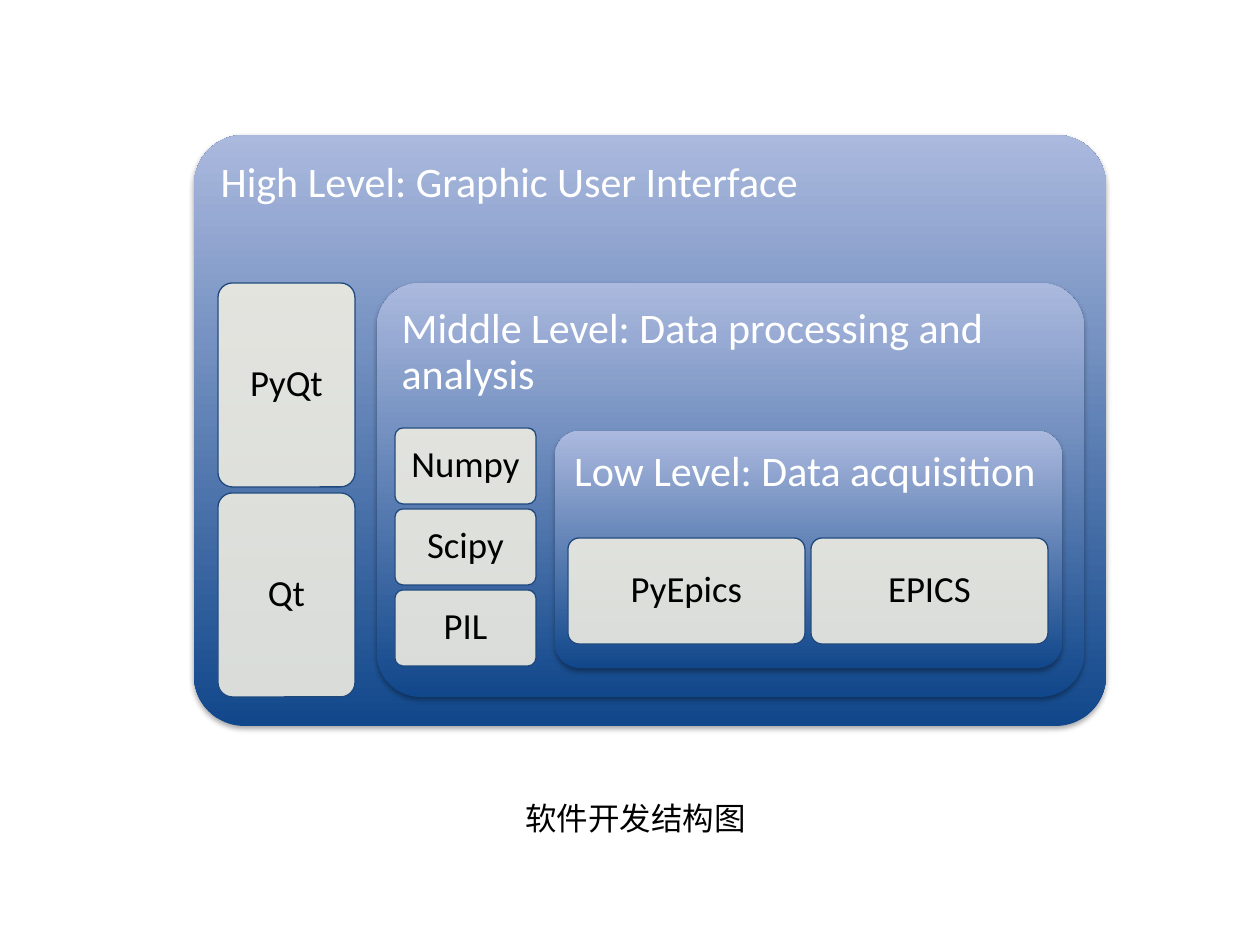
import lxml.etree
import pptx
import pptx.dml.color
import pptx.enum.shapes
import pptx.enum.text
import pptx.oxml.ns
import pptx.util

EMU_PER_PX = 914400 / 126
FONT = "Calibri"
COLORS = {
    "panel_bottom": "11478B",
    "panel_top": "ABB9DE",
    "panel_text": "FFFFFF",
    "block": "EEECE1",
    "block_line": "1F497D",
    "text": "000000",
    "shadow": "000000",
}


def px(length):
    return pptx.util.Emu(round(length * EMU_PER_PX))


def color(name):
    return pptx.dml.color.RGBColor.from_string(COLORS[name])


def add_element(parent, tag, **attributes):
    element = lxml.etree.SubElement(parent, pptx.oxml.ns.qn(tag))
    for name, value in attributes.items():
        element.set(name, str(value))
    return element


def set_text(frame, text, size, color_name):
    paragraph = frame.paragraphs[0]
    paragraph.text = text
    paragraph.font.size = pptx.util.Pt(size)
    paragraph.font.name = FONT
    paragraph.font.color.rgb = color(color_name)
    return paragraph


def add_rounded_box(slide, box, corner, inset):
    """Add a shadowless rounded rectangle with equal text margins."""
    shape = slide.shapes.add_shape(
        pptx.enum.shapes.MSO_SHAPE.ROUNDED_RECTANGLE, *map(px, box))
    shape.adjustments[0] = corner
    shape.shadow.inherit = False
    frame = shape.text_frame
    frame.word_wrap = True
    frame.margin_left = frame.margin_right = px(inset)
    frame.margin_top = frame.margin_bottom = px(inset)
    return shape


def add_shadow(shape):
    effects = shape.element.spPr.find(pptx.oxml.ns.qn("a:effectLst"))
    shadow = add_element(
        effects, "a:outerShdw", blurRad=pptx.util.Pt(3.1),
        dist=pptx.util.Pt(1.8), dir=90 * 60000, rotWithShape=0)
    shade = add_element(shadow, "a:srgbClr", val=COLORS["shadow"])
    add_element(shade, "a:alpha", val=35000)


def add_level_panel(slide, title, box, corner=0.105):
    shape = add_rounded_box(slide, box, corner, inset=12)
    shape.fill.gradient()
    shape.fill.gradient_angle = 90
    for stop, name in zip(shape.fill.gradient_stops,
                          ("panel_bottom", "panel_top")):
        stop.color.rgb = color(name)
    shape.line.fill.background()
    add_shadow(shape)
    shape.text_frame.vertical_anchor = pptx.enum.text.MSO_ANCHOR.TOP
    paragraph = set_text(shape.text_frame, title, 24, "panel_text")
    paragraph.alignment = pptx.enum.text.PP_ALIGN.LEFT
    paragraph.line_spacing = 0.9


def add_block(slide, label, box):
    shape = add_rounded_box(slide, box, corner=0.105, inset=11)
    shape.fill.solid()
    shape.fill.fore_color.rgb = color("block")
    fill_color = shape.element.spPr.find(
        ".//" + pptx.oxml.ns.qn("a:srgbClr"))
    add_element(fill_color, "a:alpha", val=90000)
    shape.line.color.rgb = color("block_line")
    shape.line.width = pptx.util.Pt(0.75)
    shape.text_frame.vertical_anchor = pptx.enum.text.MSO_ANCHOR.MIDDLE
    paragraph = set_text(shape.text_frame, label, 21, "text")
    paragraph.alignment = pptx.enum.text.PP_ALIGN.CENTER
    paragraph.line_spacing = 0.9


def add_block_series(slide, labels, first_box, step_x=0, step_y=0):
    left, top, width, height = first_box
    for index, label in enumerate(labels):
        box = (left + index * step_x, top + index * step_y, width, height)
        add_block(slide, label, box)


def add_caption(slide, text, box):
    frame = slide.shapes.add_textbox(*map(px, box)).text_frame
    frame.word_wrap = False
    frame.auto_size = pptx.enum.text.MSO_AUTO_SIZE.SHAPE_TO_FIT_TEXT
    set_text(frame, text, 18, "text")


def main():
    presentation = pptx.Presentation()
    presentation.slide_width = px(1260)
    presentation.slide_height = px(945)
    slide = presentation.slides.add_slide(presentation.slide_layouts[6])

    add_level_panel(slide, "High Level: Graphic User Interface",
                    (194, 135, 912, 591), corner=0.085)
    add_block_series(slide, ["PyQt", "Qt"], (218, 283, 137, 204), step_y=210)

    add_level_panel(slide, "Middle Level: Data processing and analysis",
                    (377, 283, 707, 414))
    add_block_series(slide, ["Numpy", "Scipy", "PIL"],
                     (395, 428, 141, 76), step_y=81)

    add_level_panel(slide, "Low Level: Data acquisition",
                    (555, 431, 507, 237))
    add_block_series(slide, ["PyEpics", "EPICS"],
                     (568, 538, 237, 106), step_x=243)

    add_caption(slide, "软件开发结构图", (513, 793, 248, 50))
    presentation.save("out.pptx")


if __name__ == "__main__":
    main()
